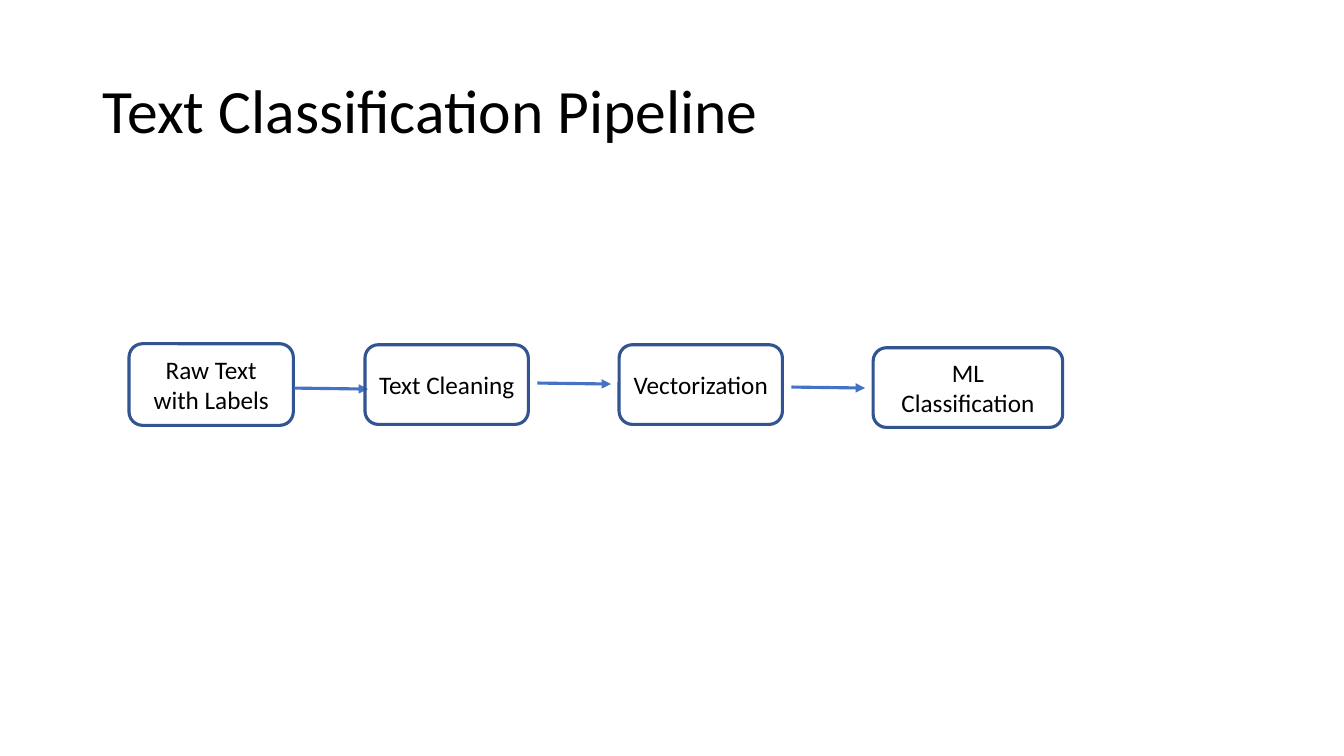
from lxml.etree import SubElement
from pptx import Presentation
from pptx.dml.color import RGBColor
from pptx.enum.shapes import MSO_CONNECTOR, MSO_SHAPE
from pptx.enum.text import MSO_ANCHOR, PP_ALIGN
from pptx.oxml.ns import qn
from pptx.util import Inches, Pt

COLORS = {"text": "000000", "outline": "325491", "arrow": "4472C4", "background": "FFFFFF"}


class PipelineSlide:
    font = "Calibri"
    line_width = Pt(2.25)

    def __init__(self, presentation):
        # Layout 5 holds only a title
        self.slide = presentation.slides.add_slide(presentation.slide_layouts[5])
        fill = self.slide.background.fill
        fill.solid()
        fill.fore_color.rgb = self.color("background")

    def color(self, name):
        return RGBColor.from_string(COLORS[name])

    def add_text(self, shape, text, size, alignment):
        frame = shape.text_frame
        frame.word_wrap = True
        frame.vertical_anchor = MSO_ANCHOR.MIDDLE
        paragraph = frame.paragraphs[0]
        paragraph.alignment = alignment
        run = paragraph.add_run()
        run.text = text
        run.font.name = self.font
        run.font.size = Pt(size)
        run.font.color.rgb = self.color("text")
        return paragraph

    def title(self, text, left, top, width, height):
        shape = self.slide.shapes.title
        shape.left, shape.top = Inches(left), Inches(top)
        shape.width, shape.height = Inches(width), Inches(height)
        paragraph = self.add_text(shape, text, 44, PP_ALIGN.LEFT)
        paragraph.line_spacing = 0.9

    def step(self, text, left, top, width, height):
        shape = self.slide.shapes.add_shape(
            MSO_SHAPE.ROUNDED_RECTANGLE,
            Inches(left), Inches(top), Inches(width), Inches(height))
        shape.shadow.inherit = False
        shape.fill.background()
        shape.line.color.rgb = self.color("outline")
        shape.line.width = self.line_width
        self.add_text(shape, text, 18, PP_ALIGN.CENTER)

    def arrow(self, left, top, length=0.73, drop=0.01):
        connector = self.slide.shapes.add_connector(
            MSO_CONNECTOR.STRAIGHT, Inches(left), Inches(top),
            Inches(left + length), Inches(top + drop))
        connector.line.color.rgb = self.color("arrow")
        connector.line.width = self.line_width
        properties = connector.element.spPr
        SubElement(properties.find(qn("a:ln")), qn("a:tailEnd"), type="triangle")
        SubElement(properties, qn("a:effectLst"))


presentation = Presentation()
presentation.slide_width = Inches(13.33)
presentation.slide_height = Inches(7.5)
pipeline = PipelineSlide(presentation)

# Title
pipeline.title("Text Classification Pipeline", 0.92, 0.4, 11.5, 1.45)

# Each step with the start of the arrow that leaves it
STEPS = [
    ("Raw Text with Labels", (1.28, 3.41, 1.63, 0.81), (2.92, 3.85)),
    ("Text Cleaning", (3.62, 3.42, 1.62, 0.79), (5.33, 3.8)),
    ("Vectorization", (6.14, 3.42, 1.62, 0.79), (7.85, 3.84)),
    ("ML Classification", (8.66, 3.45, 1.88, 0.79), None),
]
for label, box, arrow_start in STEPS:
    pipeline.step(label, *box)
    if arrow_start:
        pipeline.arrow(*arrow_start)

presentation.save("out.pptx")
